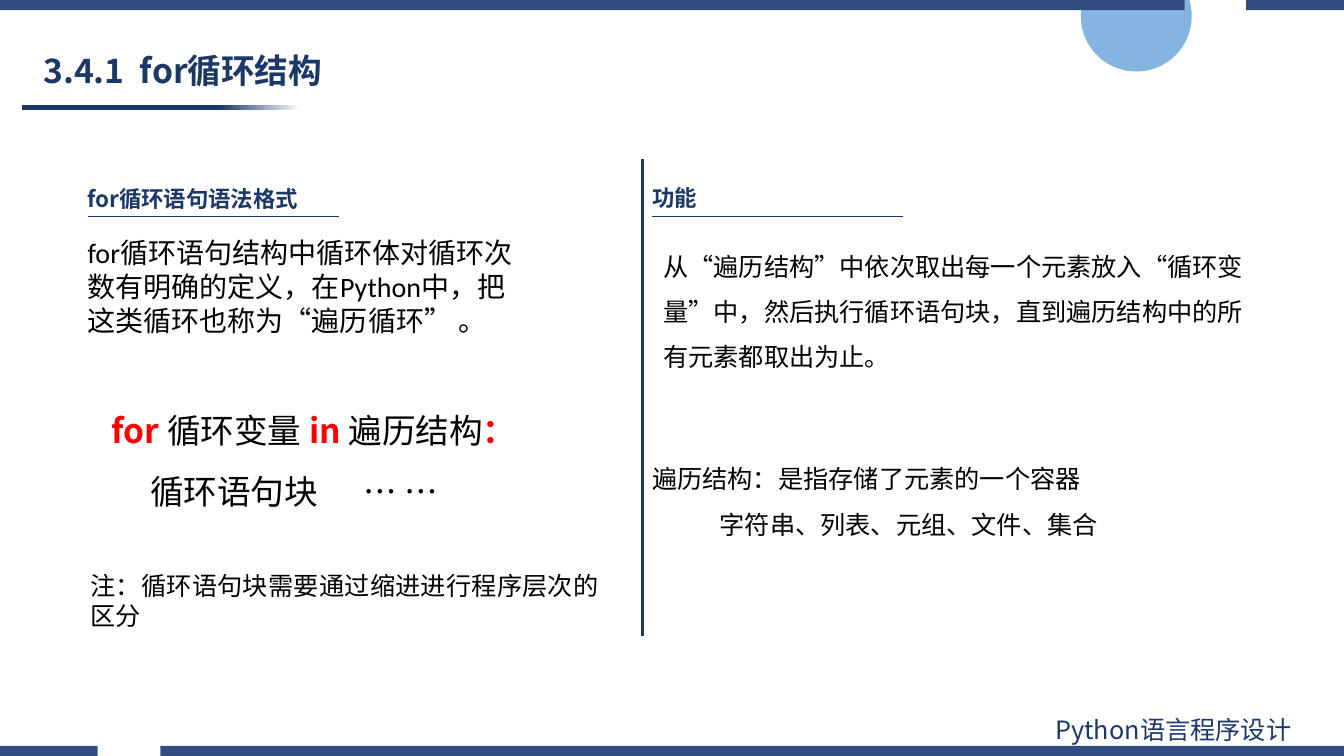
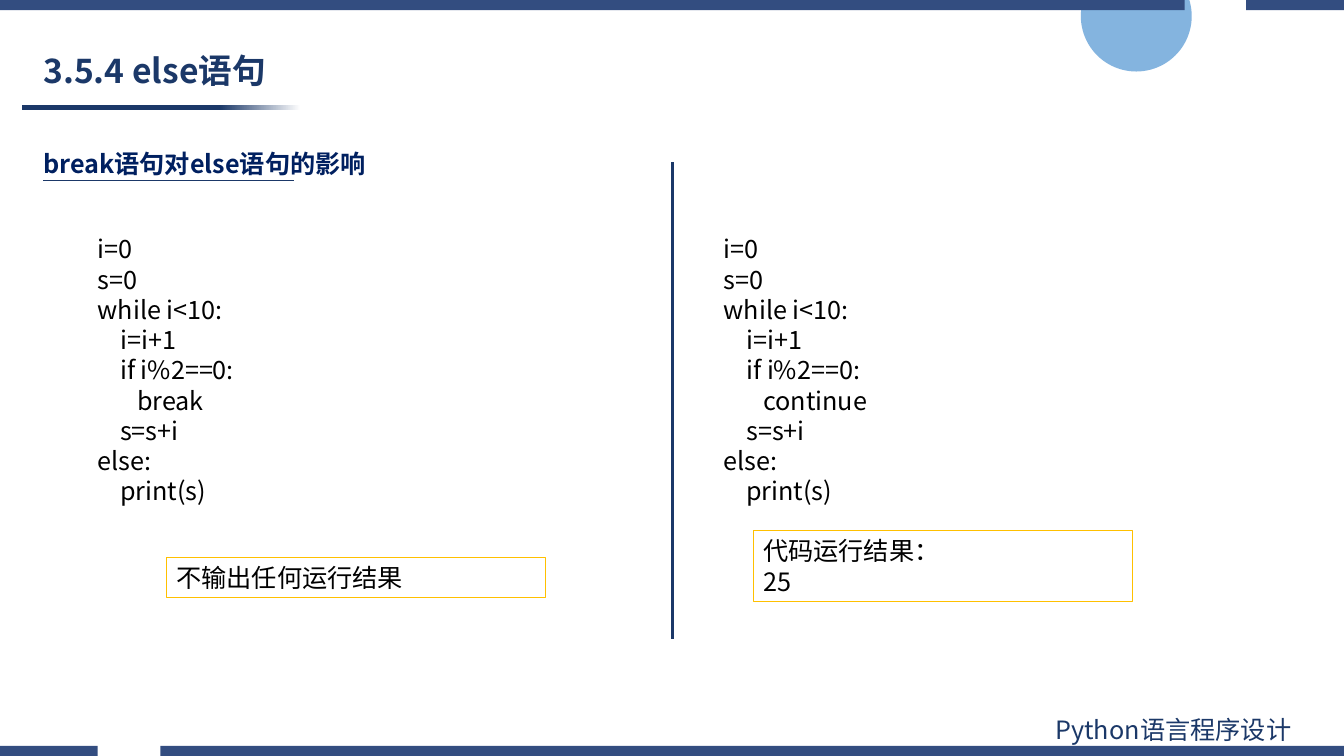
from lxml.etree import SubElement
from pptx import Presentation
from pptx.dml.color import RGBColor
from pptx.enum.shapes import MSO_CONNECTOR as Connector, MSO_SHAPE as Shape
from pptx.enum.text import MSO_ANCHOR as Anchor, MSO_AUTO_SIZE as AutoSize, PP_ALIGN as Align
from pptx.oxml.ns import qn
from pptx.util import Inches, Pt

NAVY = RGBColor(0x1B, 0x38, 0x68)
DEEP_BLUE = RGBColor(0x00, 0x20, 0x60)
BAND_BLUE = RGBColor(0x33, 0x4D, 0x80)
SKY = RGBColor(0x5B, 0x9B, 0xD5)
AMBER = RGBColor(0xFF, 0xC0, 0x00)
RED = RGBColor(0xFF, 0x00, 0x00)
BLACK = RGBColor(0x00, 0x00, 0x00)
WHITE = RGBColor(0xFF, 0xFF, 0xFF)
CJK_FONT = "Noto Sans CJK SC"
LATIN_FONT = "Calibri"
WIDTH, HEIGHT, BAND = 13.33, 7.5, 0.1
TITLE_ONLY = 5

LOOP_CODE = """i=0
s=0
while i<10:
    i=i+1
    if i%2==0:
       {}
    s=s+i
else:
    print(s)"""


class Deck:
    """Hold the shared style and the slide being built."""

    def __init__(self):
        self.presentation = Presentation()
        self.presentation.slide_width = Inches(WIDTH)
        self.presentation.slide_height = Inches(HEIGHT)
        self.slide = None

    def add_slide(self, title):
        layout = self.presentation.slide_layouts[TITLE_ONLY]
        self.slide = self.presentation.slides.add_slide(layout)
        circle = self.shape(Shape.OVAL, 10.72, -0.39, 1.1, 1.1)
        circle.fill.solid()
        circle.fill.fore_color.rgb = SKY
        color = circle._element.spPr.find(qn("a:solidFill"))[0]
        SubElement(color, qn("a:alpha"), val="75000")
        self.title_rule()
        self.band(0, (0, 11.75), (12.36, WIDTH))
        self.band(HEIGHT - BAND, (0, 0.97), (1.59, WIDTH))
        self.text(10.37, 7.04, 2.94, 0.4, ["Python语言程序设计"], color=NAVY)
        self.title(title)

    def title(self, text):
        shape = self.slide.shapes.title
        shape.left, shape.top = Inches(0.33), Inches(0.44)
        shape.width, shape.height = Inches(3.57), Inches(0.56)
        frame = shape.text_frame
        frame.text = text
        frame.auto_size = AutoSize.NONE
        frame.vertical_anchor = Anchor.MIDDLE
        paragraph = frame.paragraphs[0]
        paragraph.alignment = Align.LEFT
        paragraph.line_spacing = 0.9
        self.style(paragraph, 24, NAVY, True)

    def title_rule(self):
        rule = self.shape(Shape.RECTANGLE, 0.22, 1.04, 2.76, 0.05)
        rule.fill.gradient()
        rule.fill.gradient_angle = 0
        stops = zip(rule.fill.gradient_stops, (0.71, 1), (NAVY, WHITE))
        for stop, position, color in stops:
            stop.position = position
            stop.color.rgb = color

    def band(self, top, *spans):
        builder = None
        for left, right in spans:
            corners = [(Inches(x), Inches(y)) for x, y in (
                (left, top), (right, top), (right, top + BAND), (left, top + BAND))]
            if builder is None:
                builder = self.slide.shapes.build_freeform(*corners[0])
            else:
                builder.move_to(*corners[0])
            builder.add_line_segments(corners[1:], close=True)
        shape = builder.convert_to_shape()
        shape.shadow.inherit = False
        shape.fill.solid()
        shape.fill.fore_color.rgb = BAND_BLUE
        shape.line.fill.background()

    def shape(self, kind, left, top, width, height):
        shape = self.slide.shapes.add_shape(
            kind, Inches(left), Inches(top), Inches(width), Inches(height))
        shape.shadow.inherit = False
        shape.line.fill.background()
        return shape

    def line(self, left, top, right, bottom, weight):
        line = self.slide.shapes.add_connector(
            Connector.STRAIGHT, Inches(left), Inches(top), Inches(right), Inches(bottom))
        line.line.color.rgb = NAVY
        line.line.width = Pt(weight)
        SubElement(line._element.spPr, qn("a:effectLst"))

    def divider(self, x, top):
        self.line(x, top, x, top + 4.73, 2)

    def heading(self, left, top, width, text, rule_top, size=16, color=NAVY):
        self.text(left, top, width, 0.37, [text], size=size, color=color, bold=True)
        self.line(left + 0.1, rule_top, left + 2.59, rule_top, 0.5)

    def style(self, paragraph, size, color, bold=False, font_name=CJK_FONT):
        font = paragraph.font
        font.size = Pt(size)
        font.bold = bold
        font.color.rgb = color
        font.name = font_name
        SubElement(font._element, qn("a:ea"), typeface=CJK_FONT)

    def text(self, left, top, width, height, lines, **options):
        box = self.slide.shapes.add_textbox(
            Inches(left), Inches(top), Inches(width), Inches(height))
        return self.fill_text(box, lines, **options)

    def result_box(self, left, top, height, lines):
        box = self.shape(Shape.RECTANGLE, left, top, 3.76, height)
        box.fill.background()
        box.line.color.rgb = AMBER
        box.line.width = Pt(0.75)
        self.fill_text(box, lines)

    def fill_text(self, shape, lines, size=18, color=BLACK, bold=False,
                  font_name=CJK_FONT, spacing=1.0, align=Align.LEFT):
        frame = shape.text_frame
        frame.word_wrap = True
        frame.auto_size = AutoSize.SHAPE_TO_FIT_TEXT
        for index, line in enumerate(lines):
            paragraph = frame.add_paragraph() if index else frame.paragraphs[0]
            paragraph.alignment = align
            paragraph.line_spacing = spacing
            runs = [(line, False)] if isinstance(line, str) else line
            for text, is_keyword in runs:
                run = paragraph.add_run()
                run.text = text
                if is_keyword:
                    run.font.bold = True
                    run.font.color.rgb = RED
            self.style(paragraph, size, color, bold, font_name)
        return frame.paragraphs

    def indent(self, paragraph, first_line, tab=None):
        properties = paragraph._p.get_or_add_pPr()
        properties.set("marL", "0")
        properties.set("indent", str(Inches(first_line)))
        if tab:
            tabs = properties.makeelement(qn("a:tabLst"))
            SubElement(tabs, qn("a:tab"), pos=str(Inches(tab)), algn="l")
            properties.find(qn("a:defRPr")).addprevious(tabs)


def add_for_slide(deck):
    deck.add_slide("3.4.1  for循环结构")
    deck.heading(0.77, 1.79, 3.4, "for循环语句语法格式", 2.15)
    deck.heading(6.37, 1.78, 3.4, "功能", 2.15)
    deck.divider(6.37, 1.58)
    deck.text(0.77, 2.29, 4.57, 1.11, [
        "for循环语句结构中循环体对循环次数有明确的定义，在Python中，把这类循环也称为“遍历循环” 。",
    ], size=20, font_name=LATIN_FONT)
    syntax = deck.text(1.01, 3.82, 4.34, 1.31, [
        [("for ", True), ("循环变量 ", False), ("in ", True), ("遍历结构", False), ("：", True)],
        "循环语句块\t… …",
    ], size=24, spacing=1.5)
    deck.indent(syntax[1], 0.38, tab=2.43)
    deck.text(0.8, 5.61, 5.24, 0.71, ["注：循环语句块需要通过缩进进行程序层次的区分"],
              font_name=LATIN_FONT, align=Align.JUSTIFY)
    deck.text(6.48, 2.29, 6.03, 1.46, [
        "从“遍历结构”中依次取出每一个元素放入“循环变量”中，然后执行循环语句块，直到遍历结构中的所有元素都取出为止。",
    ], spacing=1.5)
    containers = deck.text(6.37, 4.4, 6.03, 1.01, [
        "遍历结构：是指存储了元素的一个容器",
        "字符串、列表、元组、文件、集合",
    ], spacing=1.5)
    deck.indent(containers[1], 0.67)


def add_else_slide(deck):
    deck.add_slide("3.5.4 else语句")
    deck.heading(0.33, 1.42, 5.09, "break语句对else语句的影响", 1.79, 18, DEEP_BLUE)
    deck.divider(6.67, 1.61)
    for left, keyword in ((0.87, "break"), (7.08, "continue")):
        deck.text(left, 2.27, 4.54, 2.83, LOOP_CODE.format(keyword).split("\n"))
    deck.result_box(1.65, 5.53, 0.4, ["不输出任何运行结果"])
    deck.result_box(7.47, 5.26, 0.71, ["代码运行结果：", "25"])


def main():
    deck = Deck()
    add_for_slide(deck)
    add_else_slide(deck)
    deck.presentation.save("out.pptx")


if __name__ == "__main__":
    main()
